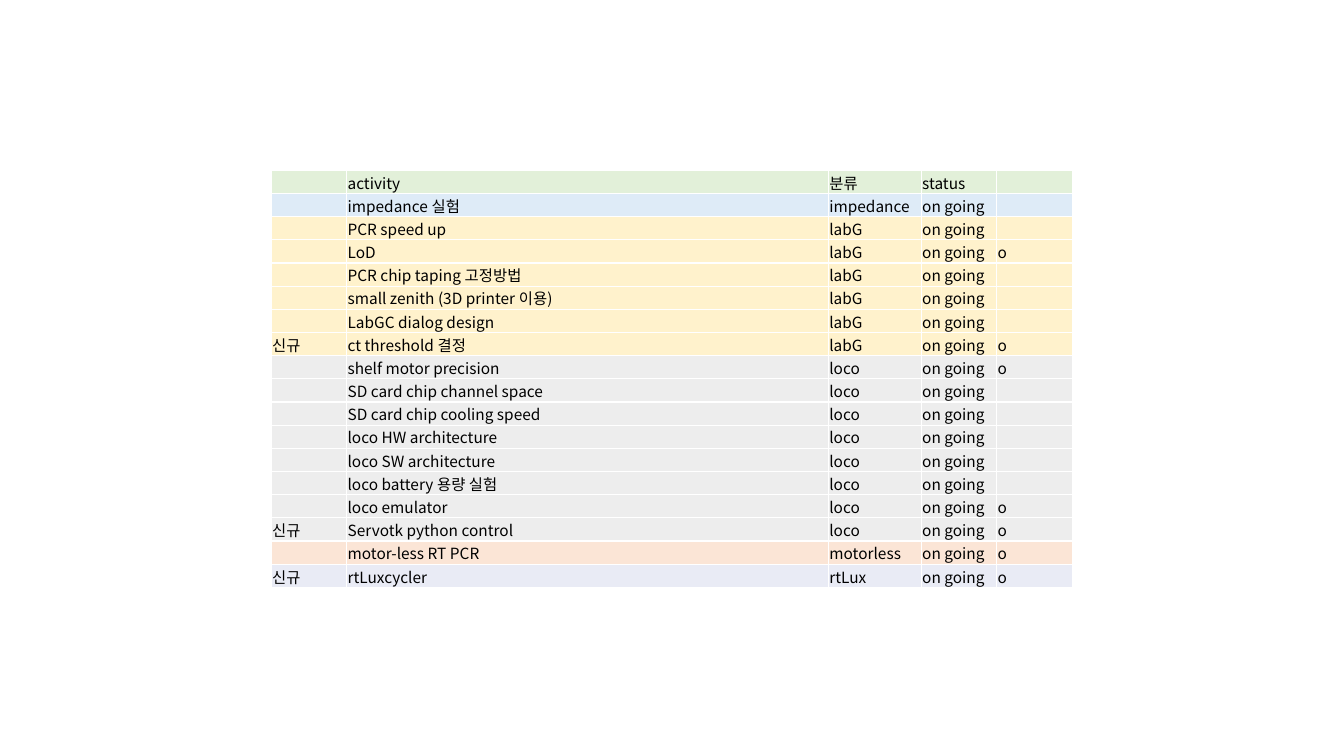
from lxml.etree import SubElement
from pptx import Presentation
from pptx.dml.color import RGBColor as RGB
from pptx.enum.text import MSO_ANCHOR as Anchor
from pptx.oxml.ns import qn
from pptx.util import Cm, Pt

FONT = "Noto Sans CJK KR"
COLORS = {
    "text": "000000",
    "border": "FFFFFF",
    "분류": "E2F0D9",
    "impedance": "DEEBF7",
    "labG": "FFF2CC",
    "loco": "EDEDED",
    "motorless": "FBE5D6",
    "rtLux": "E9EBF5",
}
COLUMN_WIDTHS = [1.9, 12.14, 2.34, 1.9, 1.9]
ROW_HEIGHT = 0.58
HEADER = ("", "activity", "분류", "status", "")
ACTIVITIES = [
    ("", "impedance 실험", "impedance", ""),
    ("", "PCR speed up", "labG", ""),
    ("", "LoD", "labG", "o"),
    ("", "PCR chip taping 고정방법", "labG", ""),
    ("", "small zenith (3D printer 이용)", "labG", ""),
    ("", "LabGC dialog design", "labG", ""),
    ("신규", "ct threshold 결정", "labG", "o"),
    ("", "shelf motor precision", "loco", "o"),
    ("", "SD card chip channel space", "loco", ""),
    ("", "SD card chip cooling speed", "loco", ""),
    ("", "loco HW architecture", "loco", ""),
    ("", "loco SW architecture", "loco", ""),
    ("", "loco battery 용량 실험", "loco", ""),
    ("", "loco emulator", "loco", "o"),
    ("신규", "Servotk python control", "loco", "o"),
    ("", "motor-less RT PCR", "motorless", "o"),
    ("신규", "rtLuxcycler", "rtLux", "o"),
]


def add_borders(cell):
    properties = cell._tc.get_or_add_tcPr()
    for position, side in enumerate(("a:lnL", "a:lnR", "a:lnT", "a:lnB")):
        line = properties.makeelement(qn(side), {"w": str(Pt(1))})
        fill = SubElement(line, qn("a:solidFill"))
        SubElement(fill, qn("a:srgbClr"), val=COLORS["border"])
        properties.insert(position, line)


def write_cell(cell, text, color):
    cell.fill.solid()
    cell.fill.fore_color.rgb = RGB.from_string(color)
    cell.margin_left = cell.margin_right = cell.margin_top = Cm(0.02)
    cell.margin_bottom = 0
    cell.vertical_anchor = Anchor.MIDDLE
    add_borders(cell)
    cell.text = text
    paragraph = cell.text_frame.paragraphs[0]
    paragraph.font.size = Pt(11)
    paragraph.font.name = FONT
    paragraph.font.color.rgb = RGB.from_string(COLORS["text"])
    defaults = paragraph._p.pPr.find(qn("a:defRPr"))
    SubElement(defaults, qn("a:ea"), typeface=FONT)
    if not text:
        SubElement(paragraph._p, qn("a:endParaRPr"), sz="1100")


deck = Presentation()
deck.slide_width, deck.slide_height = Cm(33.87), Cm(19.05)
slide = deck.slides.add_slide(deck.slide_layouts[6])

rows = [HEADER]
for mark, activity, category, check in ACTIVITIES:
    rows.append((mark, activity, category, "on going", check))

schedule = slide.shapes.add_table(
    len(rows), len(COLUMN_WIDTHS), Cm(6.84), Cm(4.29),
    Cm(sum(COLUMN_WIDTHS)), Cm(ROW_HEIGHT * len(rows)),
).table
schedule.first_row = False
schedule.horz_banding = False
for column, width in zip(schedule.columns, COLUMN_WIDTHS):
    column.width = Cm(width)

for row, texts in zip(schedule.rows, rows):
    row.height = Cm(ROW_HEIGHT)
    for cell, text in zip(row.cells, texts):
        write_cell(cell, text, COLORS[texts[2]])

deck.save("out.pptx")
